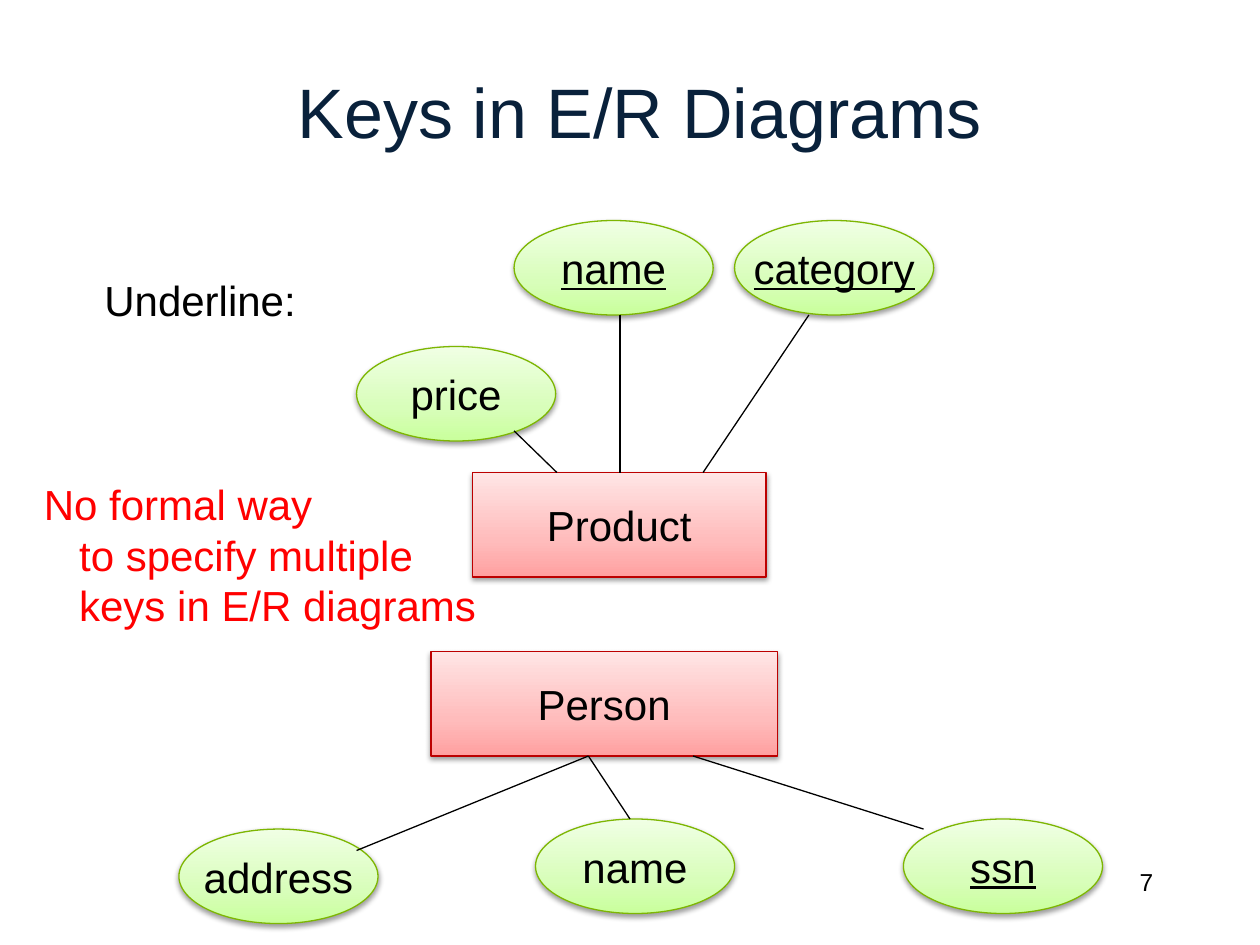
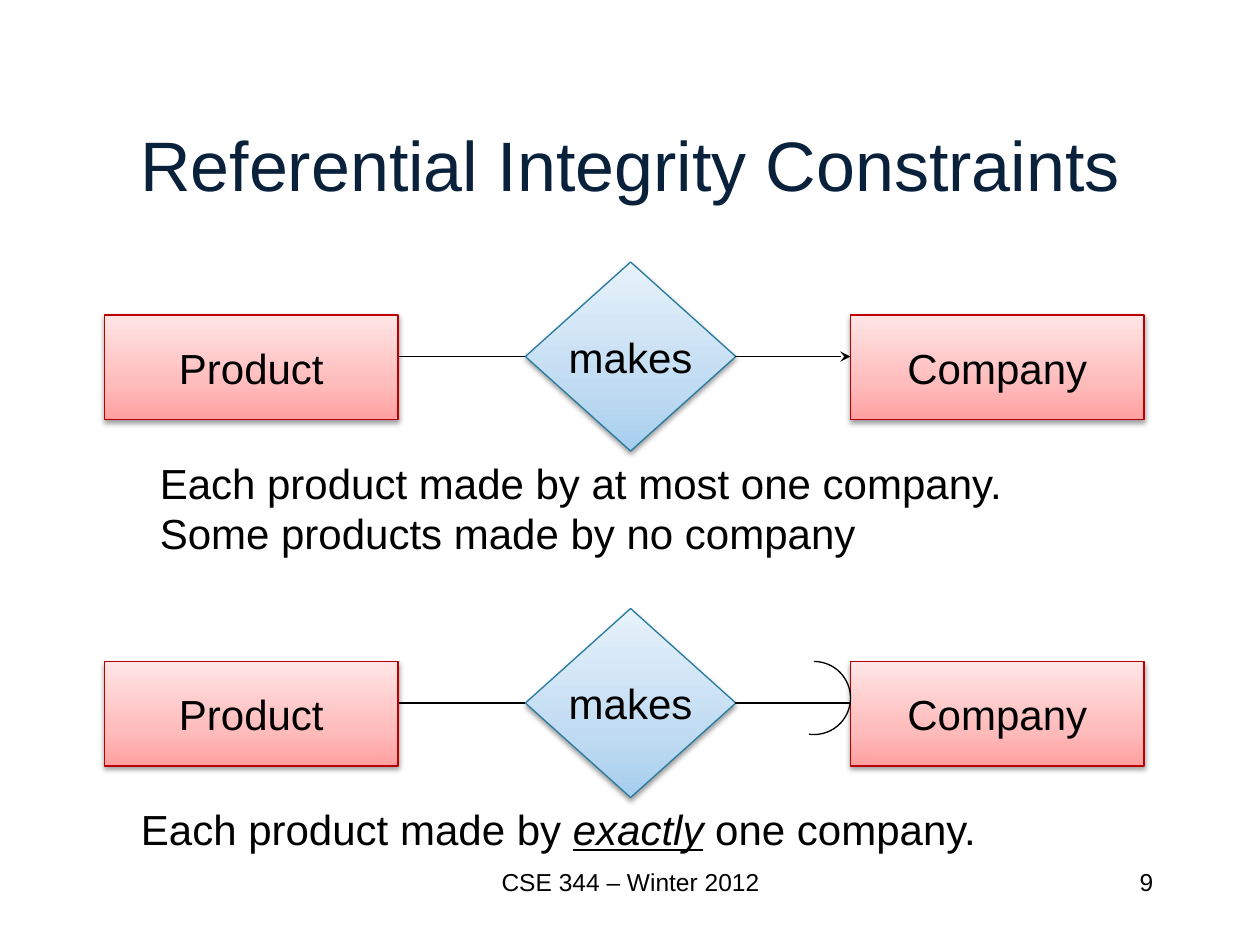
import math
from copy import deepcopy

from lxml import etree
from pptx import Presentation
from pptx.dml.color import RGBColor
from pptx.enum.shapes import MSO_CONNECTOR, MSO_SHAPE
from pptx.enum.text import MSO_ANCHOR, PP_ALIGN
from pptx.oxml.ns import qn
from pptx.util import Inches, Pt

RECT, OVAL, DIAMOND = MSO_SHAPE.RECTANGLE, MSO_SHAPE.OVAL, MSO_SHAPE.DIAMOND
STRAIGHT = MSO_CONNECTOR.STRAIGHT
LEFT, CENTER, RIGHT = PP_ALIGN.LEFT, PP_ALIGN.CENTER, PP_ALIGN.RIGHT
TOP, MIDDLE = MSO_ANCHOR.TOP, MSO_ANCHOR.MIDDLE

BLACK = RGBColor(0x00, 0x00, 0x00)
RED = RGBColor(0xFF, 0x00, 0x00)
NAVY = RGBColor(0x09, 0x21, 0x3B)
GREEN_LINE = RGBColor(0x7D, 0xB6, 0x02)
GREENS = (RGBColor(0xC9, 0xFF, 0x9C), RGBColor(0xD8, 0xFE, 0xBA), RGBColor(0xF0, 0xFF, 0xE4))
PINK_LINE = RGBColor(0xBC, 0x00, 0x00)
PINKS = (RGBColor(0xFF, 0xA0, 0xA0), RGBColor(0xFF, 0xBC, 0xBC), RGBColor(0xFF, 0xE5, 0xE5))
BLUE_LINE = RGBColor(0x28, 0x7A, 0x9E)
BLUES = (RGBColor(0xA6, 0xCE, 0xEE), RGBColor(0xC1, 0xDC, 0xF2), RGBColor(0xE7, 0xF2, 0xFB))

STOPS = (0, 0.35, 1)
LINE_WIDTH = Pt(0.75)
BODY = {"name": "Arial", "size": Pt(24)}
TITLE = {"name": "Arial", "size": Pt(40)}
SMALL = {"name": "Arial", "size": Pt(14)}
KEY = {"underline": True}
STRESSED = {"italic": True, "underline": True}


class Deck:
    def __init__(self):
        self.prs = Presentation()
        self.prs.slide_width, self.prs.slide_height = Inches(10), Inches(7.5)
        self.shapes = None

    def new_slide(self, title, title_top, number):
        self.shapes = self.prs.slides.add_slide(self.prs.slide_layouts[6]).shapes
        self.text(0.75, title_top, 8.5, 1.25, [title], TITLE, NAVY, CENTER, MIDDLE)
        self.text(7.17, 6.83, 2.08, 0.5, [number], SMALL, align=RIGHT)

    def styled_run(self, p, text, style, color=BLACK):
        r = p.add_run()
        r.text = text
        for name, value in style.items():
            setattr(r.font, name, value)
        r.font.color.rgb = color

    def text(self, x, y, w, h, lines, style=BODY, color=BLACK, align=LEFT,
             anchor=TOP, indent=0):
        """Each line is a string or a list of (text, extra style); indent moves later lines."""
        s = self.shapes.add_textbox(Inches(x), Inches(y), Inches(w), Inches(h))
        tf = s.text_frame
        tf.word_wrap, tf.vertical_anchor = True, anchor
        for i, line in enumerate(lines):
            p = tf.add_paragraph() if i else tf.paragraphs[0]
            p.alignment = align
            if i and indent:
                p._p.get_or_add_pPr().set("marL", str(Inches(indent)))
            for text, extra in [(line, {})] if isinstance(line, str) else line:
                self.styled_run(p, text, {**style, **extra}, color)

    def node(self, kind, x, y, w, h, label, colors, line_color, extra):
        """Draws a labelled shape, shaded from the bottom up, with a soft shadow."""
        s = self.shapes.add_shape(kind, Inches(x), Inches(y), Inches(w), Inches(h))
        s.fill.gradient()
        s.fill.gradient_angle = 90
        stops = s._element.spPr.find(qn("a:gradFill")).find(qn("a:gsLst"))
        stops.append(deepcopy(stops[0]))
        for stop, position, color in zip(s.fill.gradient_stops, STOPS, colors):
            stop.position, stop.color.rgb = position, color
        s.line.color.rgb, s.line.width = line_color, LINE_WIDTH
        self.drop_shadow(s)
        tf = s.text_frame
        tf.word_wrap, tf.vertical_anchor = False, MIDDLE
        tf.paragraphs[0].alignment = CENTER
        self.styled_run(tf.paragraphs[0], label, {**BODY, **extra})

    def drop_shadow(self, s):
        s.shadow.inherit = False
        effects = s._element.spPr.find(qn("a:effectLst"))
        shadow = etree.SubElement(effects, qn("a:outerShdw"), blurRad=str(Pt(3.1)),
                                  dist=str(Pt(1.6)), dir="5400000", rotWithShape="0")
        color = etree.SubElement(shadow, qn("a:srgbClr"), val="000000")
        etree.SubElement(color, qn("a:alpha"), val="38000")

    def attribute(self, x, y, label, extra):
        self.node(OVAL, x, y, 1.58, 0.75, label, GREENS, GREEN_LINE, extra)

    def entity(self, x, y, label, w=2.33):
        self.node(RECT, x, y, w, 0.83, label, PINKS, PINK_LINE, {})

    def relationship(self, x, y, label):
        self.node(DIAMOND, x, y, 1.67, 1.5, label, BLUES, BLUE_LINE, {})

    def connect(self, x1, y1, x2, y2, arrow=False):
        s = self.shapes.add_connector(STRAIGHT, Inches(x1), Inches(y1), Inches(x2), Inches(y2))
        s.line.color.rgb, s.line.width = BLACK, LINE_WIDTH
        if arrow:
            ln = s._element.spPr.find(qn("a:ln"))
            etree.SubElement(ln, qn("a:tailEnd"), type="stealth")
        etree.SubElement(s._element.spPr, qn("a:effectLst"))

    def arc(self, cx, cy, radius, start, end, step=4):
        """Draws an open clockwise arc; angles in degrees from the right."""
        points = [(Inches(cx + radius * math.cos(math.radians(a))),
                   Inches(cy + radius * math.sin(math.radians(a))))
                  for a in range(start, end + 1, step)]
        builder = self.shapes.build_freeform(*points[0])
        builder.add_line_segments(points[1:], close=False)
        s = builder.convert_to_shape()
        s.fill.background()
        s.line.color.rgb, s.line.width = BLACK, LINE_WIDTH
        s.shadow.inherit = False


def keys_slide(deck):
    deck.new_slide(" Keys in E/R Diagrams", 0.25, "7")
    for x, y, label, extra in (
        (1.42, 6.58, "address", {}), (4.25, 6.5, "name", {}), (7.17, 6.5, "ssn", KEY),
        (4.08, 1.75, "name", KEY), (5.83, 1.75, "category", KEY), (2.83, 2.75, "price", {}),
    ):
        deck.attribute(x, y, label, extra)
    deck.entity(3.42, 5.17, "Person", w=2.75)
    deck.entity(3.75, 3.75, "Product")
    for ends in (
        (4.42, 3.75, 4.08, 3.42), (4.92, 3.75, 4.92, 2.5), (5.58, 3.75, 6.42, 2.5),
        (4.67, 6, 2.83, 6.75), (4.67, 6, 5, 6.5), (5.5, 6, 7.33, 6.58),
    ):
        deck.connect(*ends)
    deck.text(0.25, 3.75, 3.7, 1.31,
              ["No formal way", "to specify multiple", "keys in E/R diagrams"],
              color=RED, indent=0.28)
    deck.text(0.73, 2.13, 1.8, 0.5, ["Underline:"])


def integrity_slide(deck):
    deck.new_slide("Referential Integrity Constraints", 0.67, "9")
    for top, arrow in ((2.5, True), (5.25, False)):
        wire = top + 0.33
        deck.entity(6.75, top, "Company")
        deck.entity(0.83, top, "Product")
        deck.relationship(4.17, top - 0.42, "makes")
        deck.connect(4.17, wire, 3.17, wire)
        deck.connect(5.83, wire, 6.75, wire, arrow)
    deck.arc(6.46, 5.54, 0.29, -90, 98)
    deck.text(1.17, 3.58, 7, 0.91,
              ["Each product made by at most one company.", "Some products made by no company"])
    deck.text(1.02, 6.33, 6.95, 0.5,
              [[("Each product made by ", {}), ("exactly", STRESSED), (" one company.", {})]])
    deck.text(3.17, 6.83, 3.67, 0.5, ["CSE 344 – Winter 2012"], SMALL, align=CENTER)


def main():
    deck = Deck()
    keys_slide(deck)
    integrity_slide(deck)
    deck.prs.save("out.pptx")


if __name__ == "__main__":
    main()
